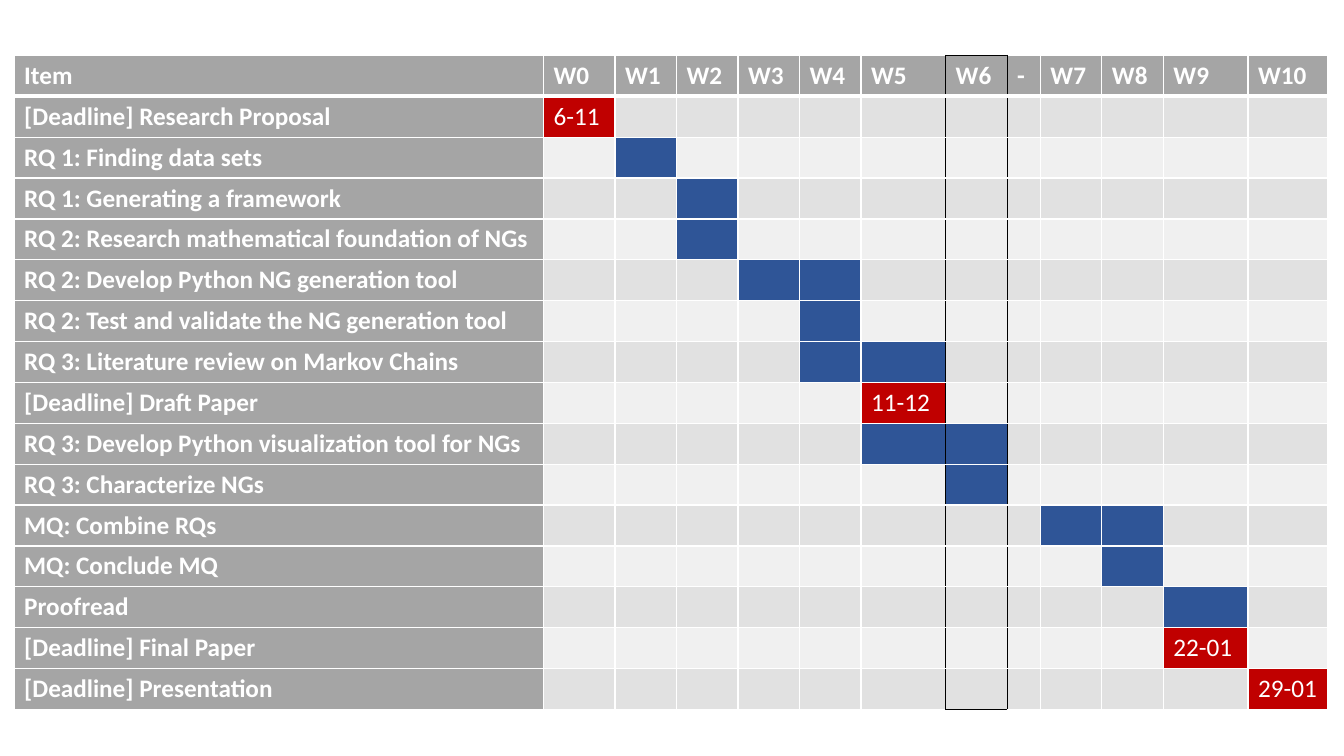
from lxml import etree
from pptx import Presentation
from pptx.dml.color import RGBColor
from pptx.oxml import ns
from pptx.util import Inches, Pt

WHITE = RGBColor(0xFF, 0xFF, 0xFF)
BLACK = RGBColor(0x00, 0x00, 0x00)
GREY = RGBColor(0xA5, 0xA5, 0xA5)
BANDS = [RGBColor(0xF0, 0xF0, 0xF0), RGBColor(0xE1, 0xE1, 0xE1)]
BLUE = RGBColor(0x2F, 0x55, 0x97)
RED = RGBColor(0xC0, 0x00, 0x00)

# Columns with their widths
cols = [("Item", 5.25), ("W0", 0.71), ("W1", 0.61), ("W2", 0.61), ("W3", 0.61),
        ("W4", 0.61), ("W5", 0.84), ("W6", 0.61), ("-", 0.33), ("W7", 0.61),
        ("W8", 0.61), ("W9", 0.84), ("W10", 0.79)]
heads = [name for name, width in cols]

# Tasks: label, weeks in use, deadline date
tasks = [
    ("[Deadline] Research Proposal", ["W0"], "6-11"),
    ("RQ 1: Finding data sets", ["W1"], ""),
    ("RQ 1: Generating a framework", ["W2"], ""),
    ("RQ 2: Research mathematical foundation of NGs", ["W2"], ""),
    ("RQ 2: Develop Python NG generation tool", ["W3", "W4"], ""),
    ("RQ 2: Test and validate the NG generation tool", ["W4"], ""),
    ("RQ 3: Literature review on Markov Chains", ["W4", "W5"], ""),
    ("[Deadline] Draft Paper", ["W5"], "11-12"),
    ("RQ 3: Develop Python visualization tool for NGs", ["W5", "W6"], ""),
    ("RQ 3: Characterize NGs", ["W6"], ""),
    ("MQ: Combine RQs", ["W7", "W8"], ""),
    ("MQ: Conclude MQ", ["W8"], ""),
    ("Proofread", ["W9"], ""),
    ("[Deadline] Final Paper", ["W9"], "22-01"),
    ("[Deadline] Presentation", ["W10"], "29-01"),
]


def edge(cell, side, color, width):
    """Draw one border of a cell."""
    line = etree.SubElement(cell._tc.get_or_add_tcPr(), ns.qn("a:ln" + side), w=str(Pt(width)))
    fill = etree.SubElement(line, ns.qn("a:solidFill"))
    etree.SubElement(fill, ns.qn("a:srgbClr"), val=str(color))


def paint(cell, words, color, bold):
    """Fill a cell and write its text."""
    cell.fill.solid()
    cell.fill.fore_color.rgb = color
    if words:
        run = cell.text_frame.paragraphs[0].add_run()
        run.text = words
        look = {"name": "Calibri", "size": Pt(18), "bold": bold}
        for key, value in look.items():
            setattr(run.font, key, value)
        run.font.color.rgb = WHITE


# Slide
deck = Presentation()
deck.slide_width, deck.slide_height = Inches(13.33), Inches(7.5)
slide = deck.slides.add_slide(deck.slide_layouts[6])

# Table grid
count = len(tasks) + 1
total = sum(width for name, width in cols)
table = slide.shapes.add_table(count, len(cols), Inches(0.14), Inches(0.55),
                               Inches(total), Inches(6.49)).table
table.horz_banding = False
for col, (name, width) in zip(table.columns, cols):
    col.width = Inches(width)
for row in table.rows:
    row.height = Inches(6.49 / count)

# Borders: white grid, thick under the header, black frame around W6
mark = heads.index("W6")
for r in range(count):
    for c in range(len(cols)):
        cell = table.cell(r, c)
        edge(cell, "L", BLACK if c in (mark, mark + 1) else WHITE, 1)
        edge(cell, "R", BLACK if c in (mark - 1, mark) else WHITE, 1)
        edge(cell, "T", BLACK if c == mark and r == 0 else WHITE, 3 if r == 1 else 1)
        edge(cell, "B", BLACK if c == mark and r == count - 1 else WHITE, 3 if r == 0 else 1)

# Header row
for c, name in enumerate(heads):
    paint(table.cell(0, c), name, GREY, True)

# Task rows
for r, (label, weeks, date) in enumerate(tasks, 1):
    paint(table.cell(r, 0), label, GREY, True)
    for c, week in enumerate(heads[1:], 1):
        if week in weeks:
            paint(table.cell(r, c), date, RED if date else BLUE, False)
        else:
            paint(table.cell(r, c), "", BANDS[r % 2], False)

deck.save("out.pptx")
